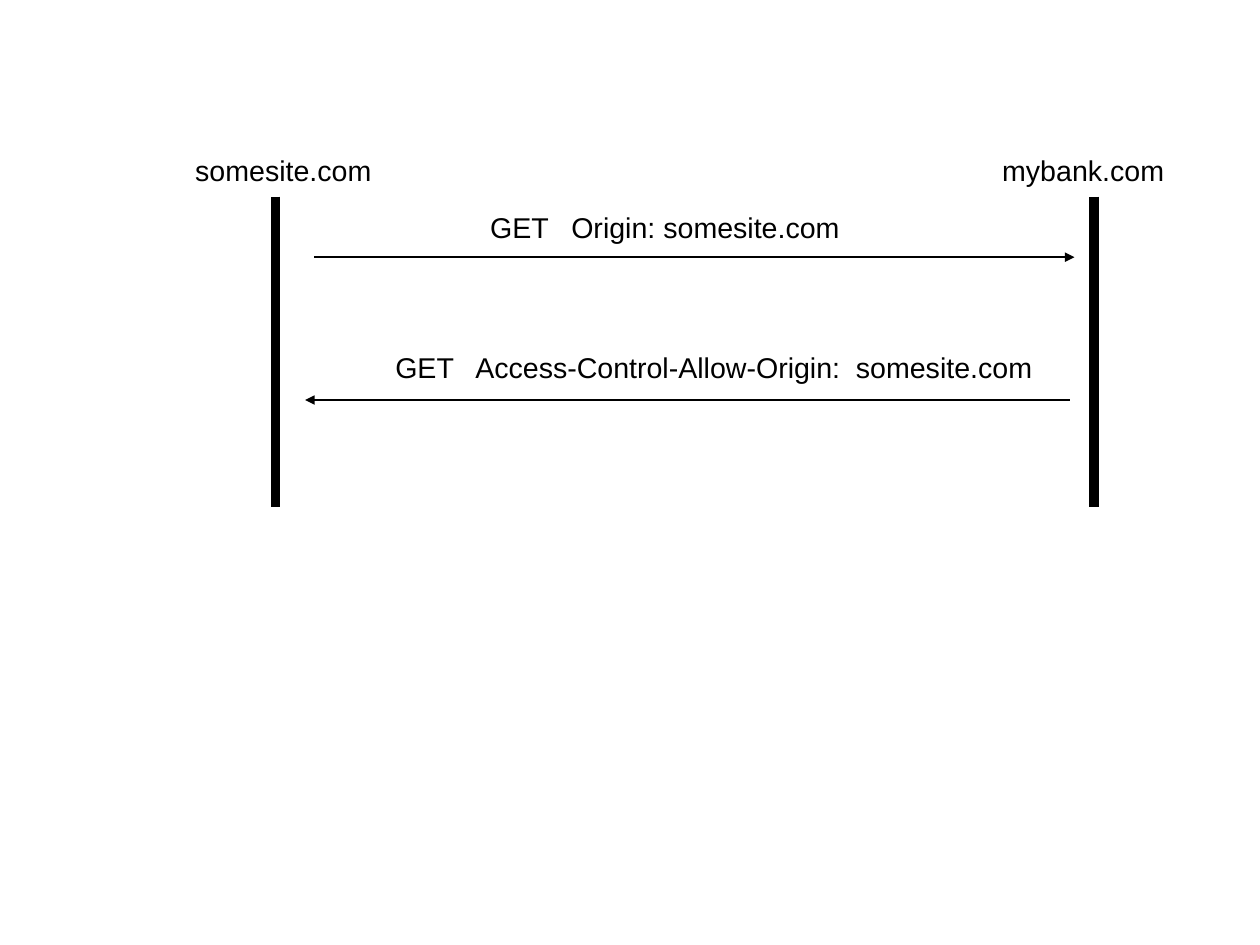
from lxml import etree
from pptx import Presentation
from pptx.dml.color import RGBColor
from pptx.enum import shapes
from pptx.oxml import ns
from pptx.util import Inches, Pt

INK = "000000"
CM_PER_INCH = 2.54
PAGE_CM = (28, 21)
LIFELINE_TOP, LIFELINE_BOTTOM = 1.72, 4.44

# name, label left, lifeline x
SITES = [("somesite.com", 1.61, 2.41), ("mybank.com", 8.67, 9.57)]

# text, tab stops, text box (left, top, width), arrow (start x, end x, y)
MESSAGES = [
    ("GET\tOrigin: somesite.com", [0.71],
     (4.19, 1.79, 4.08), (2.75, 9.4, 2.25)),
    ("GET\tAccess-Control-Allow-Origin:\tsomesite.com", [0.7, 4.03],
     (3.36, 3.01, 5.88), (9.36, 2.67, 3.5)),
]


def color(value):
    return RGBColor.from_string(value)


def add_label(slide, content, left, top, width, height, tab_stops=()):
    box = slide.shapes.add_textbox(*map(Inches, (left, top, width, height)))
    box.text_frame.word_wrap = True
    box.text_frame.text = content
    para = box.text_frame.paragraphs[0]
    if tab_stops:
        tabs = etree.SubElement(para._p.get_or_add_pPr(), ns.qn("a:tabLst"))
        for stop in tab_stops:
            etree.SubElement(tabs, ns.qn("a:tab"), pos=str(Inches(stop)), algn="l")
    for span in para.runs:
        span.font.name = "Arial"
        span.font.size = Pt(18)
        span.font.color.rgb = color(INK)


def add_line(slide, x1, y1, x2, y2, weight, arrow=False):
    connector = slide.shapes.add_connector(
        shapes.MSO_CONNECTOR.STRAIGHT, *map(Inches, (x1, y1, x2, y2)))
    connector.line.color.rgb = color(INK)
    connector.line.width = Pt(weight)
    if arrow:
        etree.SubElement(connector.line._get_or_add_ln(), ns.qn("a:tailEnd"),
                         type="triangle")
    etree.SubElement(connector._element.spPr, ns.qn("a:effectLst"))


def main():
    deck = Presentation()
    deck.slide_width, deck.slide_height = (
        Inches(side / CM_PER_INCH) for side in PAGE_CM)
    page = deck.slides.add_slide(deck.slide_layouts[6])

    for name, left, x in SITES:
        add_label(page, name, left, 1.29, 1.94, 0.38)
        add_line(page, x, LIFELINE_TOP, x, LIFELINE_BOTTOM, 6)

    for content, tab_stops, (left, top, width), (start, end, y) in MESSAGES:
        add_line(page, start, y, end, y, 1, arrow=True)
        add_label(page, content, left, top, width, 0.66, tab_stops)

    deck.save("out.pptx")


if __name__ == "__main__":
    main()
